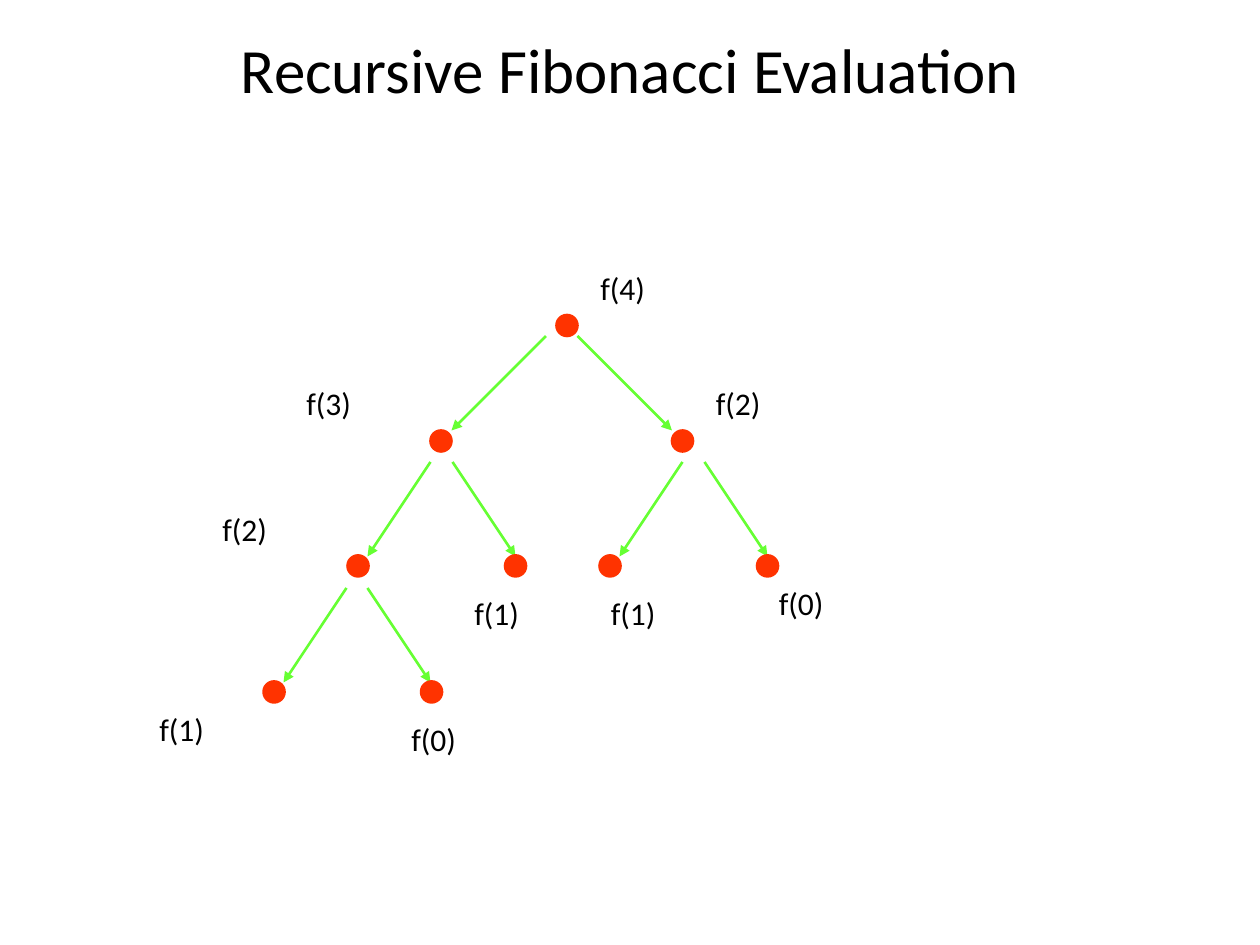
from lxml import etree
from pptx import Presentation
from pptx import util as u
from pptx.dml.color import RGBColor
from pptx.enum import shapes, text
from pptx.oxml.ns import qn

SCALE = 7620
COLORS = {"ink": "000000", "dot": "FF3300", "arrow": "66FF33"}
DOT = 20
LABEL = (120, 68)
DROP = 90

# label, dot left and top, label left and top
NODES = [
    ("f(4)", (390, 50), (420, 0)),
    ("f(3)", (270, 160), (140, 110)),
    ("f(2)", (191, 279), (60, 230)),
    ("f(1)", (111, 399), (0, 420)),
    ("f(0)", (261, 399), (240, 430)),
    ("f(1)", (341, 279), (300, 310)),
    ("f(2)", (500, 160), (530, 110)),
    ("f(1)", (431, 279), (430, 310)),
    ("f(0)", (581, 279), (590, 300)),
]
# start of left arrow, gap between the two starts, sideways run
BRANCHES = [
    ((380, 70), 30, 90),
    ((270, 190), 21, 60),
    ((510, 190), 21, 60),
    ((190, 310), 20, 60),
]


def px(*lengths):
    """Turn px lengths into EMU."""
    return [u.Emu(length * SCALE) for length in lengths]


def color(name):
    """Look up a named colour."""
    return RGBColor.from_string(COLORS[name])


def write(frame, words, size, align=text.PP_ALIGN.LEFT, anchor=text.MSO_ANCHOR.TOP):
    """Fill a text frame with one formatted paragraph."""
    frame.word_wrap = True
    frame.vertical_anchor = anchor
    para = frame.paragraphs[0]
    para.alignment = align
    span = para.add_run()
    span.text = words
    span.font.name = "Calibri"
    span.font.size = u.Pt(size)
    span.font.color.rgb = color("ink")


def add_title(slide, box, words):
    """Place and format the title placeholder."""
    title = slide.shapes.title
    title.left, title.top, title.width, title.height = px(*box)
    write(title.text_frame, words, size=36,
          align=text.PP_ALIGN.CENTER, anchor=text.MSO_ANCHOR.MIDDLE)


def add_arrow(slide, start, end):
    """Draw an arrow between two points."""
    arrow = slide.shapes.add_connector(shapes.MSO_CONNECTOR.STRAIGHT, *px(*start, *end))
    arrow.line.color.rgb = color("arrow")
    arrow.line.width = u.Pt(1.5)
    etree.SubElement(arrow.line._get_or_add_ln(), qn("a:tailEnd"), type="triangle")
    etree.SubElement(arrow._element.spPr, qn("a:effectLst"))


def add_branch(slide, start, gap, run):
    """Draw the two arrows that lead from a call to its subcalls."""
    x, y = start
    add_arrow(slide, (x, y), (x - run, y + DROP))
    add_arrow(slide, (x + gap, y), (x + gap + run, y + DROP))


def add_node(slide, words, dot_at, label_at):
    """Group a dot with its label."""
    group = slide.shapes.add_group_shape()
    dot = group.shapes.add_shape(
        shapes.MSO_SHAPE.FLOWCHART_CONNECTOR, *px(*dot_at, DOT, DOT))
    dot.shadow.inherit = False
    dot.fill.solid()
    dot.fill.fore_color.rgb = color("dot")
    dot.line.color.rgb = color("dot")
    dot.line.width = u.Pt(1.5)
    label = group.shapes.add_textbox(*px(*label_at, *LABEL))
    write(label.text_frame, words, size=18)


def add_tree(slide, box):
    """Draw the call tree relative to its box."""
    left, top = box[:2]

    def place(point):
        """Shift a point into the box."""
        return left + point[0], top + point[1]

    for start, gap, run in BRANCHES:
        add_branch(slide, place(start), gap, run)
    for words, dot_at, label_at in NODES:
        add_node(slide, words, place(dot_at), place(label_at))


def main():
    """Build and save the deck."""
    deck = Presentation()
    deck.slide_width, deck.slide_height = px(1200, 900)
    slide = deck.slides.add_slide(deck.slide_layouts[5])
    add_title(slide, (90, 20, 1020, 90), "Recursive Fibonacci Evaluation")
    add_tree(slide, (140, 250, 710, 498))
    deck.save("out.pptx")


if __name__ == "__main__":
    main()
